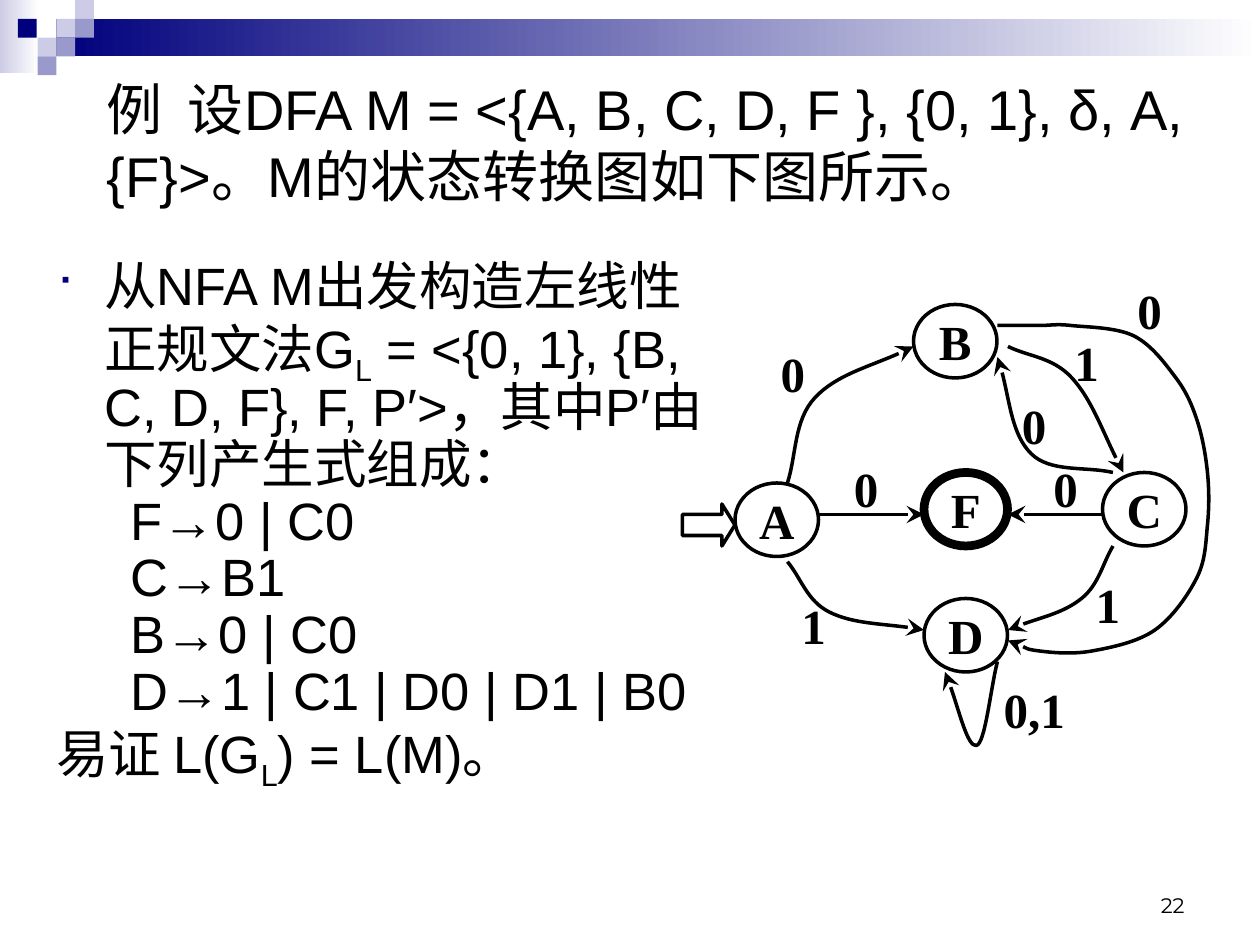
from lxml.etree import SubElement
from pptx import Presentation
from pptx.dml.color import RGBColor
from pptx.enum.shapes import MSO_CONNECTOR as LINK, MSO_SHAPE as KIND
from pptx.enum.text import MSO_ANCHOR as ANCHOR, PP_ALIGN as ALIGN
from pptx.oxml.ns import qn
from pptx.util import Inches, Pt

BLACK = RGBColor(0, 0, 0)
WHITE = RGBColor(255, 255, 255)
NAVY = RGBColor(0x00, 0x00, 0x7D)
PALE = RGBColor(0xCC, 0xCC, 0xE6)
LILAC = RGBColor(0x99, 0x99, 0xCC)

CELL = Inches(1) // 12  # the slide is a grid of 120 columns by 90 rows
TILE = 1.79  # side of a header square, in cells

deck = Presentation()
deck.slide_width, deck.slide_height = 120 * CELL, 90 * CELL
slide = deck.slides.add_slide(deck.slide_layouts[6])
shapes = slide.shapes


def place(kind, *spot, fill=None, line=0):
    """Add a shape at a spot in cells, or a text box if kind is None."""
    spot = [round(v * CELL) for v in spot]
    if kind is None:
        return shapes.add_textbox(*spot)
    shape = shapes.add_shape(kind, *spot)
    shape.shadow.inherit = False
    if isinstance(fill, list):
        shape.fill.gradient()
        shape.fill.gradient_angle = 0
        for stop, tint in zip(shape.fill.gradient_stops, fill):
            stop.color.rgb = tint
    elif fill is not None:
        shape.fill.solid()
        shape.fill.fore_color.rgb = fill
    else:
        shape.fill.background()
    if line:
        shape.line.color.rgb = BLACK
        shape.line.width = Pt(line)
    else:
        shape.line.fill.background()
    return shape


def write(host, *texts, face="Arial", size=28, bold=False, align=ALIGN.LEFT,
          anchor=ANCHOR.MIDDLE, wrap=True, gap=1, indents=None, bullet=False):
    """Write one paragraph per text; parts between underscores are subscripts."""
    frame = host.text_frame
    frame.word_wrap, frame.vertical_anchor = wrap, anchor
    for row, text in enumerate(texts):
        para = frame.paragraphs[0] if row == 0 else frame.add_paragraph()
        para.alignment, para.line_spacing = align, gap
        para.space_before = Pt(0)
        props = para._p.get_or_add_pPr()
        if indents:
            left, first = indents[row]
            props.set("marL", str(Inches(left)))
            props.set("indent", str(Inches(first)))
        if bullet and row == 0:
            tint = SubElement(props, qn("a:buClr"))
            SubElement(tint, qn("a:srgbClr"), val=str(NAVY))
            SubElement(props, qn("a:buSzPct"), val="75000")
            SubElement(props, qn("a:buFont"), typeface="Wingdings", charset="2")
            SubElement(props, qn("a:buChar"), char="■")
        for part, words in enumerate(text.split("_")):
            run = para.add_run()
            run.text = words
            font = run.font
            font.name, font.size, font.bold = face, Pt(size), bold
            font.color.rgb = BLACK
            if part % 2:
                run._r.get_or_add_rPr().set("baseline", "-25000")


# Header band and squares
place(KIND.RECTANGLE, 0, 0, 3.7, 7, fill=[PALE, WHITE])
place(KIND.RECTANGLE, 3 * TILE, TILE, 120 - 3 * TILE, 2 * TILE, fill=[NAVY, WHITE])
for col, row, tint in [(3, 1, PALE), (4, 0, PALE), (4, 1, LILAC), (2, 2, PALE),
                       (0.95, 1, NAVY), (3, 2, LILAC), (2, 3, LILAC)]:
    place(KIND.RECTANGLE, col * TILE, row * TILE, TILE, TILE, fill=tint)

# Text
write(place(None, 86, 82, 28, 6), "22", face="Montserrat", size=12,
      align=ALIGN.RIGHT, anchor=ANCHOR.BOTTOM)
write(place(None, 4.2, 24.2, 66.1, 57),
      "从NFA M出发构造左线性正规文法G_L_ = <{0, 1}, {B, C, D, F}, F, P′>，其中P′由下列产生式组成：",
      "F→0 | C0", "C→B1", "B→0 | C0", "D→1 | C1 | D0 | D1 | B0",
      "易证 L(G_L_) = L(M)。",
      size=30, anchor=ANCHOR.TOP, gap=0.9, bullet=True,
      indents=[(0.38, -0.38)] + [(0.9, -0.31)] * 4 + [(0.38, -0.38)])
write(place(None, 9, 6, 108, 15),
      "例  设DFA M = <{A, B, C, D, F }, {0, 1}, δ, A, {F}>。M的状态转换图如下图所示。",
      size=32)

# States and edge labels
mark = dict(face="Times New Roman", bold=True, align=ALIGN.CENTER, wrap=False)
for name, col, row, line in [("A", 70, 46, 2), ("B", 87, 29, 2), ("C", 105, 45, 2),
                             ("D", 88, 57, 2), ("F", 88, 45, 5)]:
    write(place(KIND.OVAL, col, row, 7.95, 7, line=line), name, **mark)
for name, col, row in [("1", 98, 31), ("0", 70, 32), ("0,1", 93, 64),
                       ("1", 72, 56), ("1", 100, 54), ("0", 93, 37),
                       ("0", 104, 26), ("0", 77, 43), ("0", 96, 43)]:
    write(place(None, col, row, 11, 7), name, **mark)
start = place(KIND.RIGHT_ARROW, 65, 48, 5, 4, line=2)
start.adjustments[0], start.adjustments[1] = 0.5, 0.31

# Edges: straight ones have two knots, the others are smooth curves through theirs
edges = [
    [(78, 49), (88, 49)],
    [(105, 49), (96, 49)],
    [(95, 63), (93, 71), (90, 64)],
    [(75, 46), (77.6, 37.9), (87, 33)],
    [(75, 53.5), (79, 58.3), (88, 60)],
    [(106, 45), (98.2, 43.2), (95, 34)],
    [(96, 33), (102.1, 36), (107, 45)],
    [(106, 52), (103, 57), (96, 60)],
    [(95, 31), (99, 31), (102, 31), (108, 32), (112, 36), (114, 40), (115, 45),
     (115, 50), (114, 55), (110, 60), (104, 62), (99, 62), (96, 61)],
]
for knots in edges:
    dots = [(round(x * CELL), round(y * CELL)) for x, y in knots]
    if len(dots) == 2:
        edge = shapes.add_connector(LINK.STRAIGHT, *dots[0], *dots[1])
    else:
        pen = shapes.build_freeform(*dots[0])
        pen.add_line_segments(dots[1:], close=False)
        edge = pen.convert_to_shape()
        edge.fill.background()
        # Bend each segment along a Catmull-Rom spline, end knots mirrored outwards
        left, top = edge.left, edge.top
        local = [(x - left, y - top) for x, y in dots]
        head = [2 * a - b for a, b in zip(local[0], local[1])]
        tail = [2 * a - b for a, b in zip(local[-1], local[-2])]
        chain = [head, *local, tail]
        for i, bend in enumerate(list(edge._element.iter(qn("a:lnTo")))):
            bend.tag = qn("a:cubicBezTo")
            before, here, there, after = chain[i:i + 4]
            pulls = [
                [round(b + (c - a) / 6) for a, b, c in zip(before, here, there)],
                [round(c - (d - b) / 6) for b, c, d in zip(here, there, after)],
            ]
            goal = bend[0]
            for x, y in pulls:
                SubElement(bend, qn("a:pt"), x=str(x), y=str(y))
            bend.append(goal)
    edge.line.color.rgb = BLACK
    edge.line.width = Pt(2)
    SubElement(edge.line._get_or_add_ln(), qn("a:tailEnd"),
               type="stealth", w="lg", len="lg")
    SubElement(edge._element.spPr, qn("a:effectLst"))

deck.save("out.pptx")
